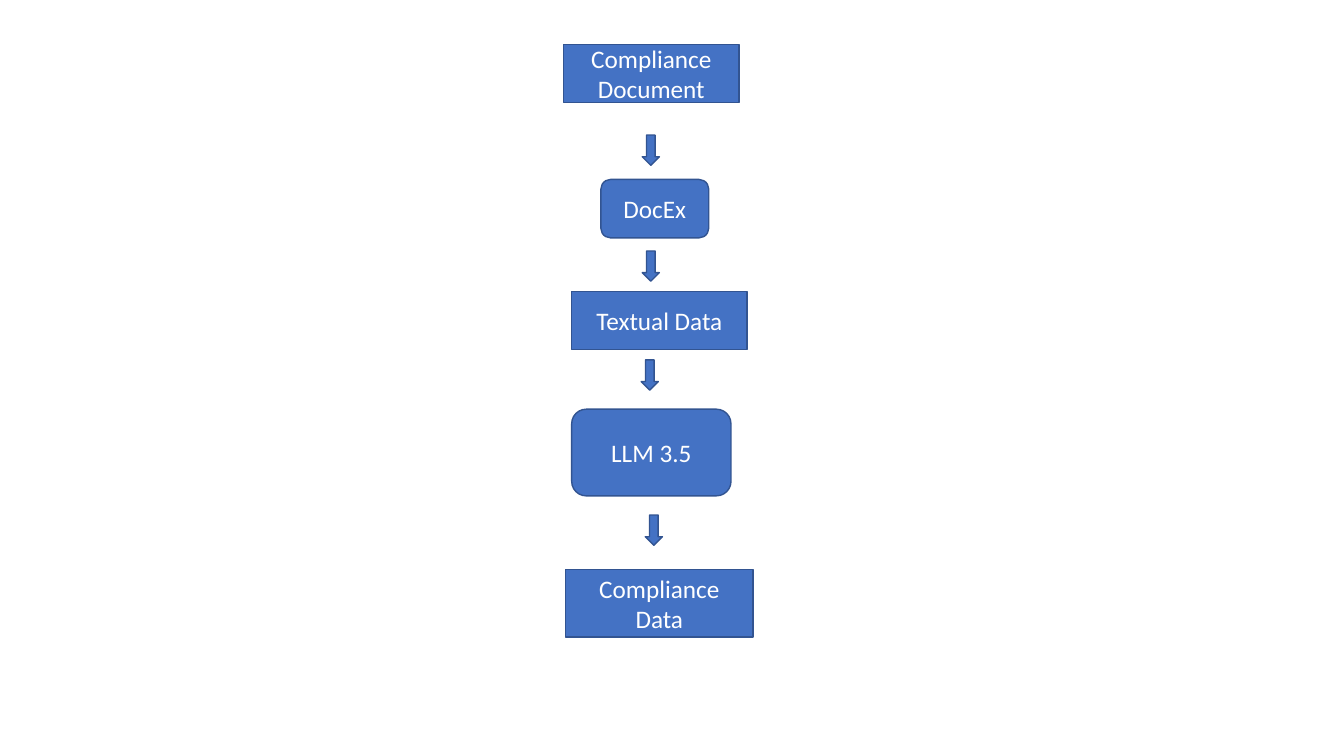
from dataclasses import dataclass

from pptx import Presentation
from pptx import util as u
from pptx.dml import color
from pptx.enum import shapes, text

COLORS = {"fill": "4472C4", "line": "325491", "text": "FFFFFF"}
FONT = "Calibri"
DATA = shapes.MSO_SHAPE.RECTANGLE
TOOL = shapes.MSO_SHAPE.ROUNDED_RECTANGLE
ARROW = shapes.MSO_SHAPE.DOWN_ARROW
ARROW_W, ARROW_H = 0.17, 0.3


@dataclass
class Node:
    kind: shapes.MSO_SHAPE
    left: float
    top: float
    width: float
    height: float
    label: str = ""


def rgb(name: str) -> color.RGBColor:
    return color.RGBColor.from_string(COLORS[name])


def draw(s, node: Node) -> None:
    box = (node.left, node.top, node.width, node.height)
    sp = s.shapes.add_shape(node.kind, *map(u.Inches, box))
    sp.shadow.inherit = False
    sp.fill.solid()
    sp.fill.fore_color.rgb = rgb("fill")
    sp.line.color.rgb = rgb("line")
    sp.line.width = u.Pt(1)
    if not node.label:
        return
    tf = sp.text_frame
    tf.word_wrap = True
    tf.vertical_anchor = text.MSO_ANCHOR.MIDDLE
    p = tf.paragraphs[0]
    p.alignment = text.PP_ALIGN.CENTER
    r = p.add_run()
    r.text = node.label
    r.font.name = FONT
    r.font.size = u.Pt(18)
    r.font.color.rgb = rgb("text")


# Data (rectangles) and the tools that process it (rounded)
steps = [
    Node(DATA, 5.59, 0.44, 1.74, 0.58, "Compliance Document"),
    Node(TOOL, 5.96, 1.78, 1.07, 0.58, "DocEx"),
    Node(DATA, 5.67, 2.89, 1.74, 0.58, "Textual Data"),
    Node(TOOL, 5.67, 4.06, 1.58, 0.86, "LLM 3.5"),
    Node(DATA, 5.61, 5.65, 1.86, 0.67, "Compliance Data"),
]

# Arrows between consecutive steps
arrows = [
    Node(ARROW, left, top, ARROW_W, ARROW_H)
    for left, top in [(6.37, 1.34), (6.37, 2.49), (6.36, 3.57), (6.4, 5.11)]
]

# Slide
prs = Presentation()
prs.slide_width = u.Inches(13.33)
prs.slide_height = u.Inches(7.5)
s = prs.slides.add_slide(prs.slide_layouts[6])
for node in steps + arrows:
    draw(s, node)

prs.save("out.pptx")
